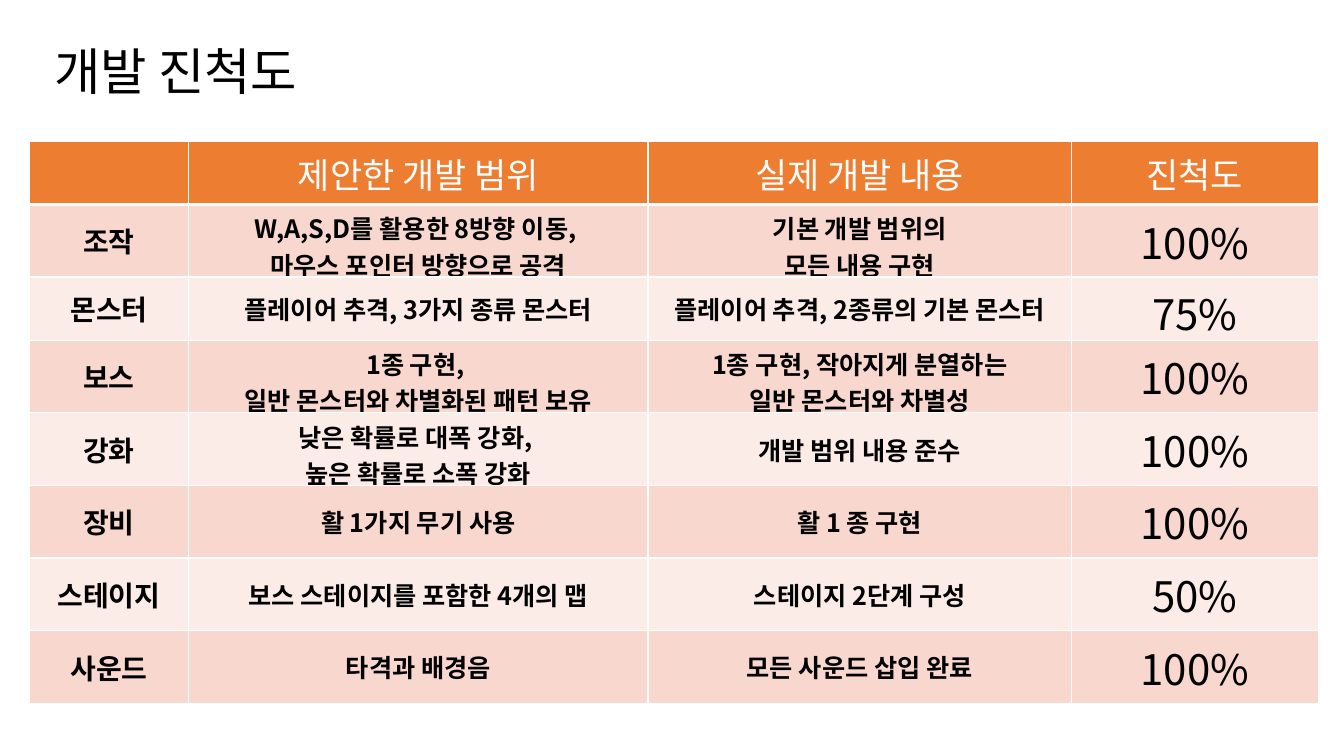
from dataclasses import dataclass

from lxml import etree
from pptx import Presentation
from pptx import util as u
from pptx.dml.color import RGBColor
from pptx.enum import text
from pptx.oxml import ns


@dataclass(frozen=True)
class Theme:
    face: str = "Noto Sans CJK KR"
    ink: str = "000000"
    white: str = "FFFFFF"
    header: str = "ED7D31"
    bands: tuple = ("F8D7CE", "FCECE8")
    title_size: int = 36
    header_size: int = 25
    column_sizes: tuple = (20, 18, 18, 30)
    rule: int = 1
    header_rule: int = 3


class ProgressSlide:
    def __init__(self, slide, theme):
        self.slide = slide
        self.theme = theme

    def add_lines(self, frame, words, size, color, bold=False):
        formats = {"name": self.theme.face, "size": u.Pt(size), "bold": bold}
        for index, line in enumerate(words.split("\n")):
            paragraph = frame.paragraphs[0] if index == 0 else frame.add_paragraph()
            paragraph.alignment = text.PP_ALIGN.CENTER
            run = paragraph.add_run()
            run.text = line
            for key, value in formats.items():
                setattr(run.font, key, value)
            run.font.color.rgb = RGBColor.from_string(color)
            east_asian = etree.SubElement(run.font._element, ns.qn("a:ea"))
            east_asian.set("typeface", self.theme.face)

    def title(self, words, left, top, width, height):
        heading = self.slide.shapes.add_textbox(*map(u.Cm, (left, top, width, height)))
        frame = heading.text_frame
        settings = {"word_wrap": False, "auto_size": text.MSO_AUTO_SIZE.SHAPE_TO_FIT_TEXT}
        for key, value in settings.items():
            setattr(frame, key, value)
        self.add_lines(frame, words, self.theme.title_size, self.theme.ink)

    def border(self, cell, bottom):
        properties = cell._tc.get_or_add_tcPr()
        rule = self.theme.rule
        for side, weight in {"L": rule, "R": rule, "T": rule, "B": bottom}.items():
            edge = etree.SubElement(properties, ns.qn(f"a:ln{side}"), w=str(u.Pt(weight)))
            fill = etree.SubElement(edge, ns.qn("a:solidFill"))
            etree.SubElement(fill, ns.qn("a:srgbClr"), val=self.theme.white)

    def cell(self, cell, words, fill, size, color, bold, bottom):
        self.border(cell, bottom)
        cell.fill.solid()
        cell.fill.fore_color.rgb = RGBColor.from_string(fill)
        cell.vertical_anchor = text.MSO_ANCHOR.MIDDLE
        if words:
            self.add_lines(cell.text_frame, words, size, color, bold)

    def table(self, headings, entries, left, top, widths, heights):
        theme = self.theme
        area = (left, top, sum(widths), sum(heights))
        progress = self.slide.shapes.add_table(
            len(heights), len(widths), *map(u.Cm, area)
        ).table
        for column, width in zip(progress.columns, widths):
            column.width = u.Cm(width)
        for row, height in zip(progress.rows, heights):
            row.height = u.Cm(height)
        for column, heading in enumerate(headings):
            self.cell(progress.cell(0, column), heading, theme.header,
                      theme.header_size, theme.white, False, theme.header_rule)
        for row, entry in enumerate(entries, 1):
            band = theme.bands[(row - 1) % 2]
            for column, words in enumerate(entry):
                is_rate = column == len(entry) - 1
                self.cell(progress.cell(row, column), words, band,
                          theme.column_sizes[column], theme.ink, not is_rate, theme.rule)


HEADINGS = ("", "제안한 개발 범위", "실제 개발 내용", "진척도")
ENTRIES = (
    ("조작", "W,A,S,D를 활용한 8방향 이동, \n마우스 포인터 방향으로 공격",
     "기본 개발 범위의\n모든 내용 구현", "100%"),
    ("몬스터", "플레이어 추격, 3가지 종류 몬스터", "플레이어 추격, 2종류의 기본 몬스터", "75%"),
    ("보스", "1종 구현, \n일반 몬스터와 차별화된 패턴 보유",
     "1종 구현, 작아지게 분열하는\n일반 몬스터와 차별성", "100%"),
    ("강화", "낮은 확률로 대폭 강화, \n높은 확률로 소폭 강화", "개발 범위 내용 준수", "100%"),
    ("장비", "활 1가지 무기 사용", "활 1 종 구현", "100%"),
    ("스테이지", "보스 스테이지를 포함한 4개의 맵", "스테이지 2단계 구성", "50%"),
    ("사운드", "타격과 배경음", "모든 사운드 삽입 완료", "100%"),
)
SHORT, TALL = 1.59, 1.83


def main():
    deck = Presentation()
    deck.slide_width, deck.slide_height = u.Cm(33.87), u.Cm(19.05)
    progress = ProgressSlide(deck.slides.add_slide(deck.slide_layouts[6]), Theme())
    progress.title("개발 진척도", 0.74, 0.89, 7.37, 1.8)
    progress.table(HEADINGS, ENTRIES, 0.74, 3.56, (4.01, 11.58, 10.67, 6.22),
                   (SHORT, TALL, SHORT) + (TALL,) * 5)
    deck.save("out.pptx")


if __name__ == "__main__":
    main()
